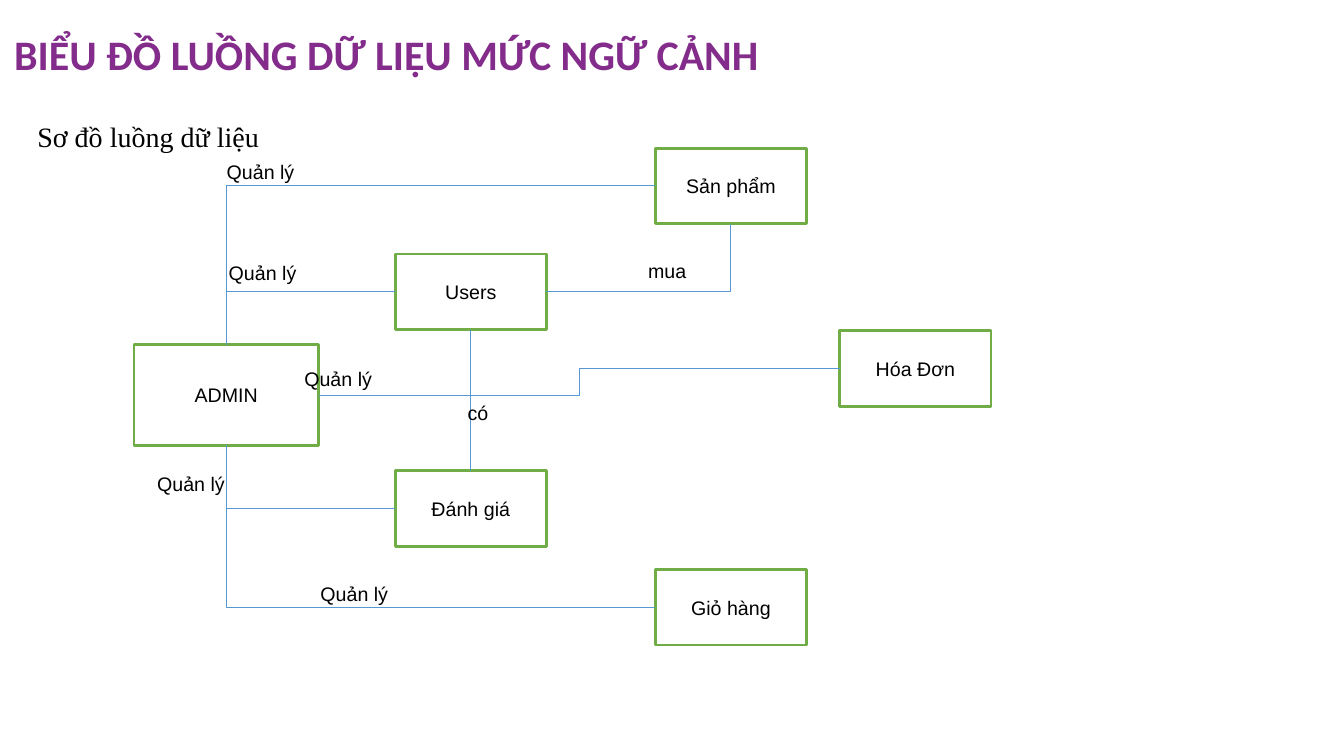
from lxml.etree import SubElement
from pptx import Presentation
from pptx.dml.color import RGBColor
from pptx.enum.shapes import MSO_CONNECTOR, MSO_SHAPE
from pptx.enum.text import MSO_ANCHOR, MSO_AUTO_SIZE, PP_ALIGN
from pptx.oxml.ns import qn
from pptx.util import Inches, Pt

# Content
HEADING = "BIỂU ĐỒ LUỒNG DỮ LIỆU MỨC NGỮ CẢNH"
SUBHEADING = "Sơ đồ luồng dữ liệu"
ENTITY_SIZE = (1.5, 0.75)
ADMIN_SIZE = (1.83, 1)
ENTITIES = {  # name: (left, top, size)
    "ADMIN": (1.33, 3.42, ADMIN_SIZE),
    "Users": (3.92, 2.52, ENTITY_SIZE),
    "Hóa Đơn": (8.33, 3.28, ENTITY_SIZE),
    "Giỏ hàng": (6.5, 5.65, ENTITY_SIZE),
    "Đánh giá": (3.92, 4.67, ENTITY_SIZE),
    "Sản phẩm": (6.5, 1.47, ENTITY_SIZE),
}
TOP, LEFT, BOTTOM, RIGHT = range(4)
FLOWS = [  # from, side, to, side, route
    ("Users", LEFT, "ADMIN", TOP, "bentConnector2"),
    ("Đánh giá", LEFT, "ADMIN", BOTTOM, "bentConnector2"),
    ("Sản phẩm", LEFT, "ADMIN", TOP, "bentConnector2"),
    ("Giỏ hàng", LEFT, "ADMIN", BOTTOM, "bentConnector2"),
    ("ADMIN", RIGHT, "Hóa Đơn", LEFT, "bentConnector3"),
    ("Users", BOTTOM, "Đánh giá", TOP, "line"),
    ("Users", RIGHT, "Sản phẩm", BOTTOM, "bentConnector2"),
]
FLOW_LABELS = [  # text, left, top
    ("Quản lý", 2.17, 2.54),
    ("Quản lý", 1.46, 4.63),
    ("Quản lý", 2.92, 3.59),
    ("Quản lý", 3.08, 5.72),
    ("Quản lý", 2.15, 1.54),
    ("có", 4.54, 3.93),
    ("mua", 6.33, 2.52),
]
COLORS = {"heading": "832C8B", "text": "000000", "box": "FFFFFF",
          "border": "70AD47", "flow": "5698D3"}
HEADING_FONT = {"name": "Calibri", "size": Pt(30), "bold": True}
SUBHEADING_FONT = {"name": "Times New Roman", "size": Pt(20)}
DIAGRAM_FONT = {"name": "Arial", "size": Pt(14)}


def color(key):
    return RGBColor.from_string(COLORS[key])


def write(frame, text, font, ink="text", align=PP_ALIGN.LEFT):
    frame.text = text
    frame.word_wrap = True
    paragraph = frame.paragraphs[0]
    paragraph.alignment = align
    for attribute, value in font.items():
        setattr(paragraph.runs[0].font, attribute, value)
    paragraph.runs[0].font.color.rgb = color(ink)
    return paragraph


def place(placeholder, left, top, width, height, anchor):
    placeholder.left, placeholder.top = Inches(left), Inches(top)
    placeholder.width, placeholder.height = Inches(width), Inches(height)
    frame = placeholder.text_frame
    for side in ("left", "top", "right", "bottom"):
        setattr(frame, f"margin_{side}", Inches(0.1))
    frame.vertical_anchor = anchor
    frame.auto_size = MSO_AUTO_SIZE.NONE
    return frame


deck = Presentation()
deck.slide_width, deck.slide_height = Inches(13.33), Inches(7.5)
slide = deck.slides.add_slide(deck.slide_layouts[1])

# Heading and subheading
heading = place(slide.shapes.title, 0.04, 0, 11.5, 1.12, MSO_ANCHOR.MIDDLE)
write(heading, HEADING, HEADING_FONT, "heading").line_spacing = 0.9
body = place(slide.placeholders[1], 0.08, 0.92, 13, 6, MSO_ANCHOR.TOP)
subheading = write(body, SUBHEADING, SUBHEADING_FONT)
subheading.line_spacing = 1.5
subheading.space_before = Pt(0)
indent = subheading._p.get_or_add_pPr()
indent.set("marL", str(Inches(0.19)))
indent.set("indent", "0")
SubElement(indent, qn("a:buNone"))

# Entities
boxes = {}
for name, (left, top, (width, height)) in ENTITIES.items():
    box = slide.shapes.add_shape(MSO_SHAPE.RECTANGLE, Inches(left), Inches(top),
                                 Inches(width), Inches(height))
    box.shadow.inherit = False
    box.fill.solid()
    box.fill.fore_color.rgb = color("box")
    box.line.color.rgb = color("border")
    box.line.width = Pt(2)
    box.text_frame.vertical_anchor = MSO_ANCHOR.MIDDLE
    write(box.text_frame, name, DIAGRAM_FONT, align=PP_ALIGN.CENTER)
    boxes[name] = box

# Flows: a bentConnector2 leaves sideways and turns once
for source, source_side, target, target_side, route in FLOWS:
    kind = MSO_CONNECTOR.STRAIGHT if route == "line" else MSO_CONNECTOR.ELBOW
    flow = slide.shapes.add_connector(kind, 0, 0, 0, 0)
    flow.begin_connect(boxes[source], source_side)
    flow.end_connect(boxes[target], target_side)
    flow.line.color.rgb = color("flow")
    flow.line.width = Pt(0.75)
    properties = flow.element.spPr
    properties.find(qn("a:prstGeom")).set("prst", route)
    SubElement(properties, qn("a:effectLst"))

# Flow labels
for text, left, top in FLOW_LABELS:
    label = slide.shapes.add_textbox(Inches(left), Inches(top), Inches(1), Inches(0.34))
    write(label.text_frame, text, DIAGRAM_FONT)

deck.save("out.pptx")
